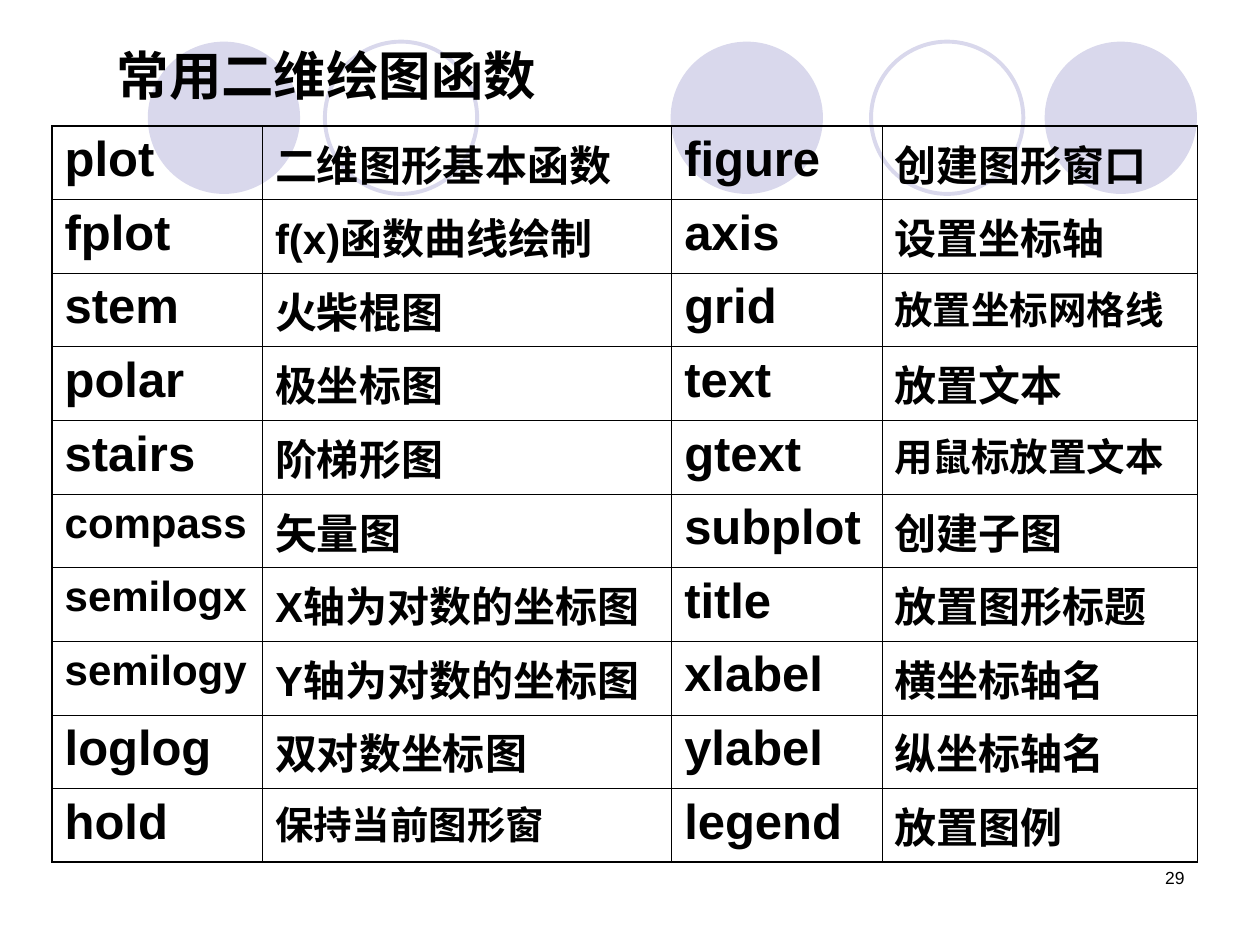
"""Build the slide that lists common two-dimensional plotting functions."""
from dataclasses import dataclass

from lxml.etree import SubElement
from pptx import Presentation
from pptx.dml.color import RGBColor
from pptx.enum.shapes import MSO_SHAPE as Shape
from pptx.enum.text import MSO_ANCHOR as Anchor, PP_ALIGN as Align
from pptx.oxml.ns import qn
from pptx.util import Cm, Pt


@dataclass(frozen=True)
class Theme:
    font: str = "Arial"
    ink: str = "000000"
    circle: str = "D9D8EC"
    title: int = 30
    name: int = 28
    meaning: int = 24
    small: int = 22
    number: int = 10
    ring: float = 2.25
    inner: float = 0.45
    outer: float = 1.08


@dataclass(frozen=True)
class Circle:
    left: float
    filled: bool


@dataclass(frozen=True)
class Entry:
    name: str
    meaning: str
    name_size: int
    meaning_size: int


THEME = Theme()
CIRCLE_TOP, CIRCLE_SIZE = 0.84, 3.07
COLUMNS = (4.24, 8.25, 4.24, 6.36)
TABLE_HEIGHT = 14.84
CIRCLES = (
    Circle(13.52, True),
    Circle(21.06, True),
    Circle(2.98, True),
    Circle(17.56, False),
    Circle(6.55, False),
)


def entry(name: str, meaning: str, name_size: int = THEME.name,
          meaning_size: int = THEME.meaning) -> Entry:
    return Entry(name, meaning, name_size, meaning_size)


PLOTTING = (
    entry("plot", "二维图形基本函数"),
    entry("fplot", "f(x)函数曲线绘制"),
    entry("stem", "火柴棍图"),
    entry("polar", "极坐标图"),
    entry("stairs", "阶梯形图"),
    entry("compass", "矢量图", name_size=THEME.meaning),
    entry("semilogx", "X轴为对数的坐标图", name_size=THEME.meaning),
    entry("semilogy", "Y轴为对数的坐标图", name_size=THEME.meaning),
    entry("loglog", "双对数坐标图"),
    entry("hold", "保持当前图形窗", meaning_size=THEME.small),
)
ANNOTATION = (
    entry("figure", "创建图形窗口"),
    entry("axis", "设置坐标轴"),
    entry("grid", "放置坐标网格线", meaning_size=THEME.small),
    entry("text", "放置文本"),
    entry("gtext", "用鼠标放置文本", meaning_size=THEME.small),
    entry("subplot", "创建子图"),
    entry("title", "放置图形标题"),
    entry("xlabel", "横坐标轴名"),
    entry("ylabel", "纵坐标轴名"),
    entry("legend", "放置图例"),
)


def write(frame, text: str, *, size: float, bold: bool = True,
          align: Align = Align.LEFT, before: float = 0) -> None:
    para = frame.paragraphs[0]
    para.alignment = align
    para.space_before = Pt(before)
    span = para.add_run()
    span.text = text
    span.font.name = THEME.font
    span.font.size = Pt(size)
    span.font.bold = bold
    span.font.color.rgb = RGBColor.from_string(THEME.ink)


def add_text(page, text: str, left: float, top: float, width: float,
             height: float, anchor: Anchor = Anchor.TOP, **style) -> None:
    box = page.shapes.add_textbox(Cm(left), Cm(top), Cm(width), Cm(height))
    box.text_frame.word_wrap = True
    box.text_frame.vertical_anchor = anchor
    write(box.text_frame, text, **style)


def add_circle(page, circle: Circle) -> None:
    disc = page.shapes.add_shape(Shape.OVAL, Cm(circle.left), Cm(CIRCLE_TOP),
                                 Cm(CIRCLE_SIZE), Cm(CIRCLE_SIZE))
    disc.shadow.inherit = False
    color = RGBColor.from_string(THEME.circle)
    if circle.filled:
        disc.fill.solid()
        disc.fill.fore_color.rgb = color
        disc.line.fill.background()
    else:
        disc.fill.background()
        disc.line.color.rgb = color
        disc.line.width = Pt(THEME.ring)


def set_borders(cell, outside: dict[str, bool]) -> None:
    properties = cell._tc.get_or_add_tcPr()
    for side, is_outer in outside.items():
        width = Pt(THEME.outer if is_outer else THEME.inner)
        line = SubElement(properties, qn(f"a:ln{side}"), w=str(width))
        fill = SubElement(line, qn("a:solidFill"))
        SubElement(fill, qn("a:srgbClr"), val=THEME.ink)


def add_function_table(page, left: float, top: float) -> None:
    last_row, last_column = len(PLOTTING) - 1, len(COLUMNS) - 1
    table = page.shapes.add_table(
        len(PLOTTING), len(COLUMNS), Cm(left), Cm(top),
        Cm(sum(COLUMNS)), Cm(TABLE_HEIGHT)).table
    table.first_row = table.horz_banding = False
    for column, width in zip(table.columns, COLUMNS):
        column.width = Cm(width)
    for row, pair in enumerate(zip(PLOTTING, ANNOTATION)):
        texts = [text for item in pair for text in (
            (item.name, item.name_size), (item.meaning, item.meaning_size))]
        for column, (text, size) in enumerate(texts):
            cell = table.cell(row, column)
            write(cell.text_frame, text, size=size, before=size / 4)
            set_borders(cell, {"L": column == 0, "R": column == last_column,
                               "T": row == 0, "B": row == last_row})
            cell.fill.background()


def main() -> None:
    deck = Presentation()
    deck.slide_width, deck.slide_height = Cm(25.4), Cm(19.05)
    page = deck.slides.add_slide(deck.slide_layouts[6])
    for circle in CIRCLES:
        add_circle(page, circle)
    add_text(page, "常用二维绘图函数", 2.1, 0.76, 20.8, 1.47,
             anchor=Anchor.MIDDLE, size=THEME.title)
    add_function_table(page, 1.05, 2.54)
    add_text(page, "29", 18.21, 17.35, 5.92, 1.27, size=THEME.number,
             bold=False, align=Align.RIGHT)
    deck.save("out.pptx")


if __name__ == "__main__":
    main()
